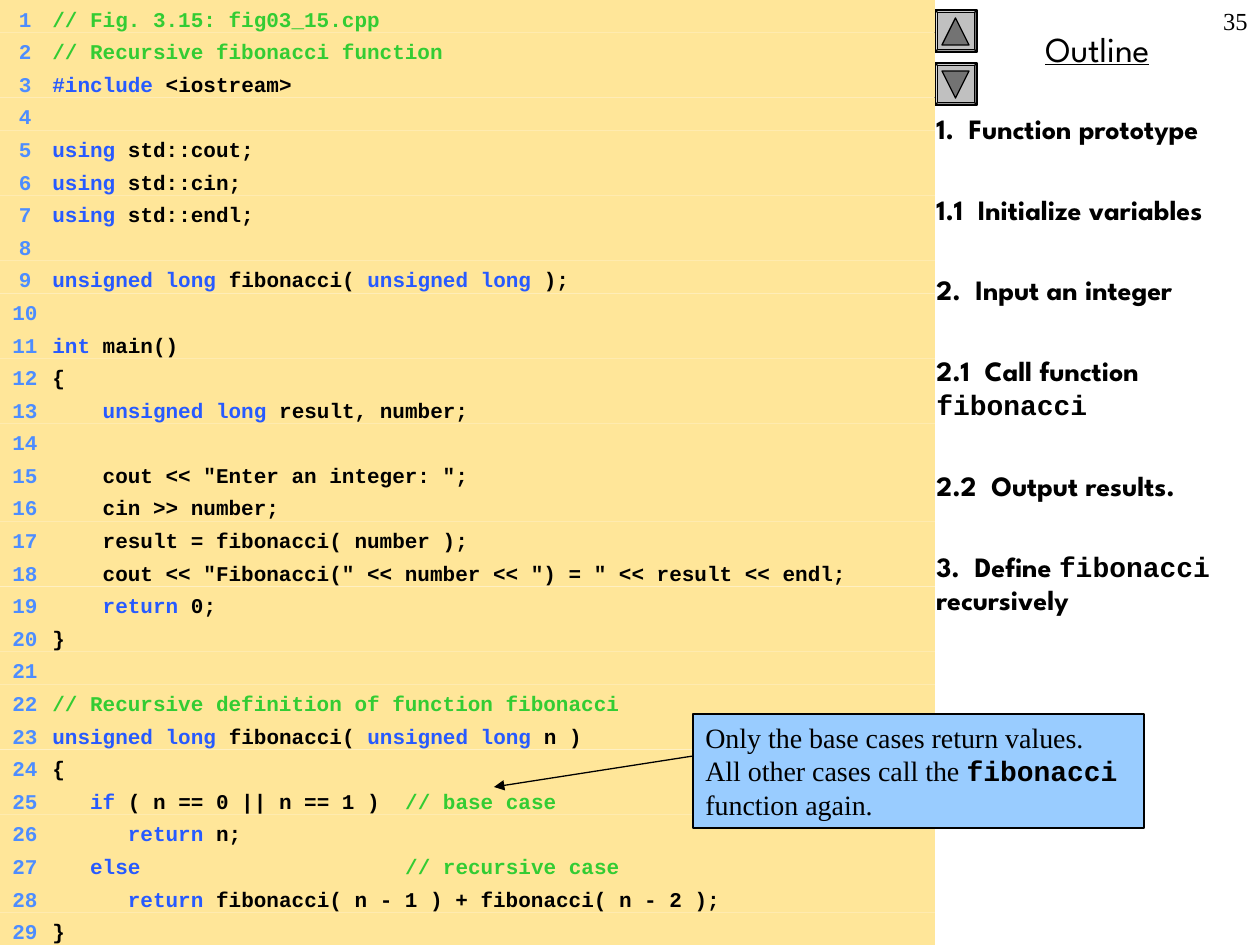
from lxml import etree
from pptx import Presentation
from pptx import util as u
from pptx.dml.color import RGBColor
from pptx.enum import shapes, text
from pptx.oxml import ns

PX = 914400 / 126  # EMU per px, 126 px to the inch
SLIDE_WIDTH, SLIDE_HEIGHT = 1260, 945
CODE_WIDTH = 935

BLACK = RGBColor(0x00, 0x00, 0x00)
CODE_FILL = RGBColor(0xFF, 0xE6, 0x99)
NUMBER_BLUE = RGBColor(0x4D, 0x8D, 0xFF)
KEYWORD_BLUE = RGBColor(0x27, 0x5A, 0xFF)
COMMENT_GREEN = RGBColor(0x33, 0xCC, 0x33)
NOTE_FILL = RGBColor(0x99, 0xCC, 0xFF)
BUTTON_GRAY = RGBColor(0xC0, 0xC0, 0xC0)
ARROW_GRAY = RGBColor(0x73, 0x73, 0x73)

SANS, MONO, SERIF = "League Spartan", "Courier New", "Times New Roman"


def box(*lengths):
    return [u.Emu(round(length * PX)) for length in lengths]


def add_run(paragraph, words, size, font, color=BLACK, bold=False):
    run = paragraph.add_run()
    run.text = words
    run.font.size = u.Pt(size)
    run.font.name = font
    run.font.color.rgb = color
    run.font.bold = bold
    return run


presentation = Presentation()
presentation.slide_width, presentation.slide_height = box(SLIDE_WIDTH, SLIDE_HEIGHT)
slide = presentation.slides.add_slide(presentation.slide_layouts[5])

# Title
title = slide.shapes.title
title.left, title.top, title.width, title.height = box(CODE_WIDTH, 21, 325, 55)
frame = title.text_frame
frame.auto_size = text.MSO_AUTO_SIZE.NONE
frame.vertical_anchor = text.MSO_ANCHOR.TOP
frame.paragraphs[0].alignment = text.PP_ALIGN.CENTER
add_run(frame.paragraphs[0], "Outline", 20, SANS).font.underline = True

# Up and down buttons
for top, arrow_top, rotation in ((10, 18, 0), (63, 71, 180)):
    button = slide.shapes.add_shape(shapes.MSO_SHAPE.BEVEL, *box(CODE_WIDTH, top, 42, 42))
    button.adjustments[0] = 0.06
    button.fill.solid()
    button.fill.fore_color.rgb = BUTTON_GRAY
    arrow = slide.shapes.add_shape(
        shapes.MSO_SHAPE.ISOSCELES_TRIANGLE, *box(CODE_WIDTH + 7, arrow_top, 27, 27))
    arrow.rotation = rotation
    arrow.fill.solid()
    arrow.fill.fore_color.rgb = ARROW_GRAY
    for shape in (button, arrow):
        shape.shadow.inherit = False
        shape.line.color.rgb = BLACK
        shape.line.width = u.Pt(0.75)

# Outline list
outline = [
    [("1.  Function prototype", SANS)],
    [("1.1  Initialize variables", SANS)],
    [("2.  Input an integer", SANS)],
    [("2.1  Call function ", SANS), ("fibonacci", MONO)],
    [("2.2  Output results.", SANS)],
    [("3.  Define ", SANS), ("fibonacci", MONO), (" recursively", SANS)],
]
frame = slide.shapes.add_textbox(*box(924, 105, 336, 840)).text_frame
frame.word_wrap = True
for index, entry in enumerate(outline):
    paragraph = frame.add_paragraph() if index else frame.paragraphs[0]
    paragraph.space_before = u.Pt(27 if index else 4)
    for words, font in entry:
        add_run(paragraph, words, 16, font, bold=True)

# Code listing: one row per line, each a list of coloured pieces
K, C, T = KEYWORD_BLUE, COMMENT_GREEN, BLACK
code_lines = [
    [("// Fig. 3.15: fig03_15.cpp", C)],
    [("// Recursive fibonacci function", C)],
    [("#include", K), (" <iostream>", T)],
    [],
    [("using", K), (" std::cout;", T)],
    [("using", K), (" std::cin;", T)],
    [("using", K), (" std::endl;", T)],
    [],
    [("unsigned long ", K), ("fibonacci( ", T), ("unsigned long", K), (" );", T)],
    [],
    [("int", K), (" main()", T)],
    [("{", T)],
    [("    unsigned long", K), (" result, number;", T)],
    [],
    [('    cout << "Enter an integer: ";', T)],
    [("    cin >> number;", T)],
    [("    result = fibonacci( number );", T)],
    [('    cout << "Fibonacci(" << number << ") = " << result << endl;', T)],
    [("    return", K), (" 0;", T)],
    [("}", T)],
    [],
    [("// Recursive definition of function fibonacci", C)],
    [("unsigned long", K), (" fibonacci( ", T), ("unsigned long", K), (" n )", T)],
    [("{", T)],
    [("   if", K), (" ( n == 0 || n == 1 )  ", T), ("// base case", C)],
    [("      return", K), (" n;", T)],
    [("   else                     ", K), ("// recursive case", C)],
    [("      return", K), (" fibonacci( n - 1 ) + fibonacci( n - 2 );", T)],
    [("}", T)],
]
row_height = SLIDE_HEIGHT / len(code_lines)
for index, pieces in enumerate(code_lines):
    row = slide.shapes.add_shape(
        shapes.MSO_SHAPE.RECTANGLE, *box(0, index * row_height, CODE_WIDTH, row_height))
    row.shadow.inherit = False
    row.fill.solid()
    row.fill.fore_color.rgb = CODE_FILL
    row.line.fill.background()
    row.text_frame.vertical_anchor = text.MSO_ANCHOR.TOP
    paragraph = row.text_frame.paragraphs[0]
    paragraph.alignment = text.PP_ALIGN.LEFT
    # Right tab for the line number, left tab for the code
    tabs = etree.SubElement(paragraph._p.get_or_add_pPr(), ns.qn("a:tabLst"))
    for position, side in ((19, "r"), (40, "l")):
        etree.SubElement(tabs, ns.qn("a:tab"), pos=str(round(position * PX)), algn=side)
    add_run(paragraph, f"\t{index + 1}\t", 12, MONO, NUMBER_BLUE, True)
    for words, color in pieces:
        add_run(paragraph, words, 12, MONO, color, True)

# Note on the base case
note = slide.shapes.add_shape(shapes.MSO_SHAPE.RECTANGLE, *box(693, 714, 451, 114))
note.shadow.inherit = False
note.fill.solid()
note.fill.fore_color.rgb = NOTE_FILL
note.line.color.rgb = BLACK
note.line.width = u.Pt(0.75)
note.text_frame.word_wrap = True
note.text_frame.vertical_anchor = text.MSO_ANCHOR.TOP
paragraph = note.text_frame.paragraphs[0]
paragraph.alignment = text.PP_ALIGN.LEFT
add_run(paragraph, "Only the base cases return values.  All other cases call the ", 16, SERIF)
add_run(paragraph, "fibonacci ", 16, MONO, bold=True)
add_run(paragraph, "function again.", 16, SERIF)

# Arrow from the note to the code
pointer = slide.shapes.add_connector(shapes.MSO_CONNECTOR.STRAIGHT, *box(693, 756, 494, 787))
pointer.line.color.rgb = BLACK
pointer.line.width = u.Pt(0.75)
etree.SubElement(pointer.line._get_or_add_ln(), ns.qn("a:tailEnd"), type="triangle")
etree.SubElement(pointer._element.spPr, ns.qn("a:effectLst"))

# Page number
frame = slide.shapes.add_textbox(*box(998, 0, 262, 63)).text_frame
frame.word_wrap = True
frame.paragraphs[0].alignment = text.PP_ALIGN.RIGHT
add_run(frame.paragraphs[0], "35", 14, SERIF)

presentation.save("out.pptx")
